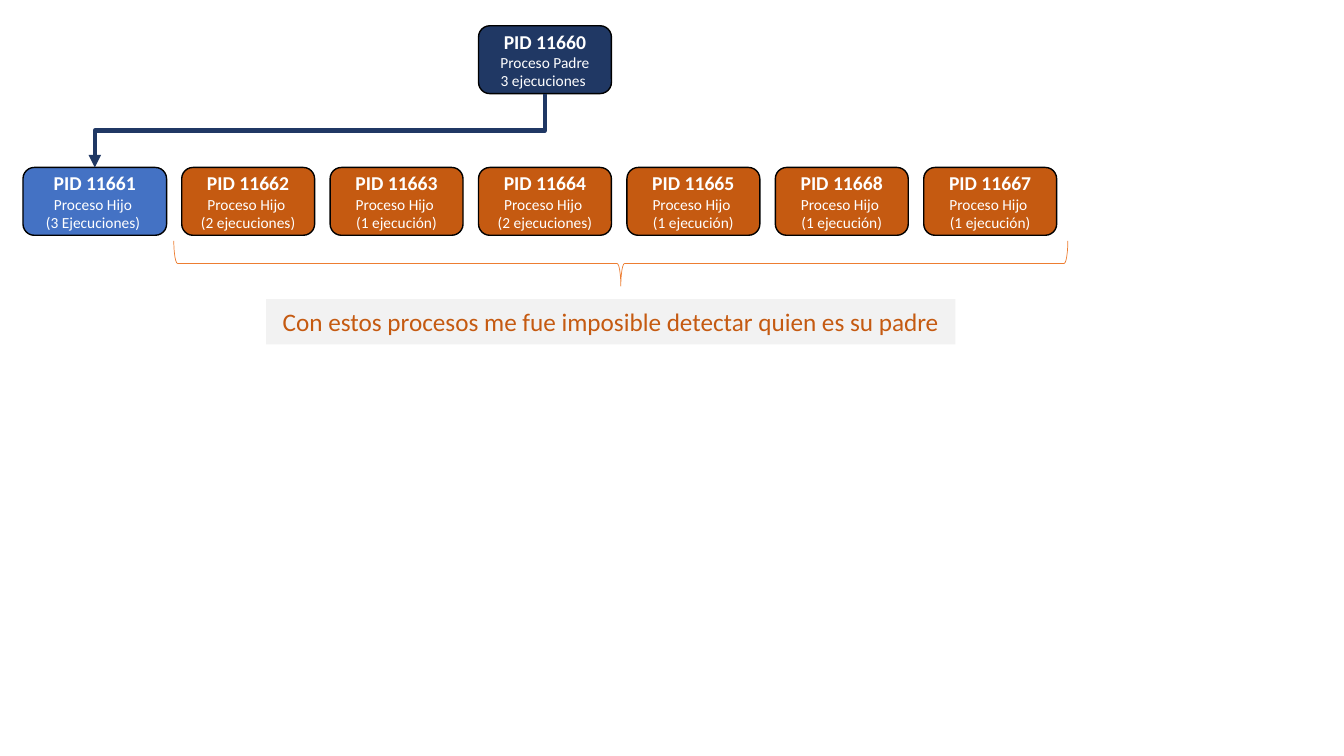
from lxml import etree
from pptx import Presentation
from pptx.dml.color import RGBColor
from pptx.enum.shapes import MSO_CONNECTOR, MSO_SHAPE
from pptx.enum.text import MSO_ANCHOR, PP_ALIGN
from pptx.oxml.ns import qn
from pptx.util import Cm, Pt

ROUND, RECT, BRACE = MSO_SHAPE.ROUNDED_RECTANGLE, MSO_SHAPE.RECTANGLE, MSO_SHAPE.RIGHT_BRACE
ELBOW = MSO_CONNECTOR.ELBOW
CENTER, MIDDLE = PP_ALIGN.CENTER, MSO_ANCHOR.MIDDLE
BOTTOM_SIDE, TOP_SIDE = 2, 0

COLORS = {
    "navy": "203864",
    "blue": "4472C4",
    "rust": "C55A11",
    "orange": "ED7D31",
    "gray": "F2F2F2",
    "black": "000000",
    "white": "FFFFFF",
}


def rgb(name):
    return RGBColor.from_string(COLORS[name])


class ProcessSlide:
    """Holds the style and the slide being drawn; lengths are in cm."""

    font = "Calibri"
    box_w, box_h = 3.35, 1.71

    def __init__(self, prs):
        self.slide = prs.slides.add_slide(prs.slide_layouts[6])

    def shape(self, kind, x, y, w, h, fill=None, line=None, line_pt=1):
        s = self.slide.shapes.add_shape(kind, Cm(x), Cm(y), Cm(w), Cm(h))
        s.shadow.inherit = False
        if fill:
            s.fill.solid()
            s.fill.fore_color.rgb = rgb(fill)
        else:
            s.fill.background()
        if line:
            s.line.color.rgb = rgb(line)
            s.line.width = Pt(line_pt)
        else:
            s.line.fill.background()
        return s

    def text(self, s, lines, color):
        """Each line is (text, size, bold)."""
        tf = s.text_frame
        tf.word_wrap = True
        tf.vertical_anchor = MIDDLE
        for i, (text, size, bold) in enumerate(lines):
            p = tf.add_paragraph() if i else tf.paragraphs[0]
            p.alignment = CENTER
            r = p.add_run()
            r.text = text
            r.font.name, r.font.size, r.font.bold = self.font, Pt(size), bold
            r.font.color.rgb = rgb(color)

    def process(self, x, y, fill, pid, role, runs, w=box_w):
        s = self.shape(ROUND, x, y, w, self.box_h, fill, "black")
        self.text(s, [(f"PID {pid}", 14, True), (role, 11, False), (runs, 11, False)], "white")
        return s

    def note(self, x, y, w, h, text):
        s = self.shape(RECT, x, y, w, h, "gray")
        self.text(s, [(text, 18, False)], "rust")

    def brace_below(self, x, y, w, h):
        # A right brace turned a quarter, so its box is given before the turn
        s = self.shape(BRACE, x + (w - h) / 2, y + (h - w) / 2, h, w, line="orange", line_pt=0.5)
        s.rotation = 90

    def elbow_arrow(self, parent, child, color):
        c = self.slide.shapes.add_connector(ELBOW, 0, 0, 0, 0)
        c.begin_connect(parent, BOTTOM_SIDE)
        c.end_connect(child, TOP_SIDE)
        # Quarter turn, so the arrow leaves and arrives vertically
        x, y, w, h = c.left, c.top, c.width, c.height
        c.left, c.top = x + (w - h) // 2, y + (h - w) // 2
        c.width, c.height = h, w
        xfrm = c._element.spPr.find(qn("a:xfrm"))
        xfrm.attrib.pop("flipH", None)
        xfrm.set("rot", "5400000")
        c.line.color.rgb = rgb(color)
        c.line.width = Pt(3)
        etree.SubElement(c.line._get_or_add_ln(), qn("a:tailEnd"), type="triangle")
        etree.SubElement(c._element.spPr, qn("a:effectLst"))


def main():
    prs = Presentation()
    prs.slide_width, prs.slide_height = Cm(33.87), Cm(19.05)
    s = ProcessSlide(prs)

    # Parent and its known child
    first_x, pitch, row_y = 4.58, 3.74, 4.22
    parent = s.process(first_x + 2 * pitch, 0.65, "navy", 11660, "Proceso Padre", "3 ejecuciones ")
    child = s.process(0.58, row_y, "blue", 11661, "Proceso Hijo ", "(3 Ejecuciones) ", w=3.62)
    s.elbow_arrow(parent, child, "navy")

    # Children of unknown parent
    orphans = [
        (11662, "(2 ejecuciones)"),
        (11663, "(1 ejecución)"),
        (11664, "(2 ejecuciones)"),
        (11665, "(1 ejecución)"),
        (11668, "(1 ejecución)"),
        (11667, "(1 ejecución)"),
    ]
    for i, (pid, runs) in enumerate(orphans):
        s.process(first_x + i * pitch, row_y, "rust", pid, "Proceso Hijo ", runs)

    # Brace and remark
    s.brace_below(4.38, 6.07, 22.53, 1.14)
    s.note(6.71, 7.54, 17.37, 1.14, "Con estos procesos me fue imposible detectar quien es su padre")

    prs.save("out.pptx")


if __name__ == "__main__":
    main()
